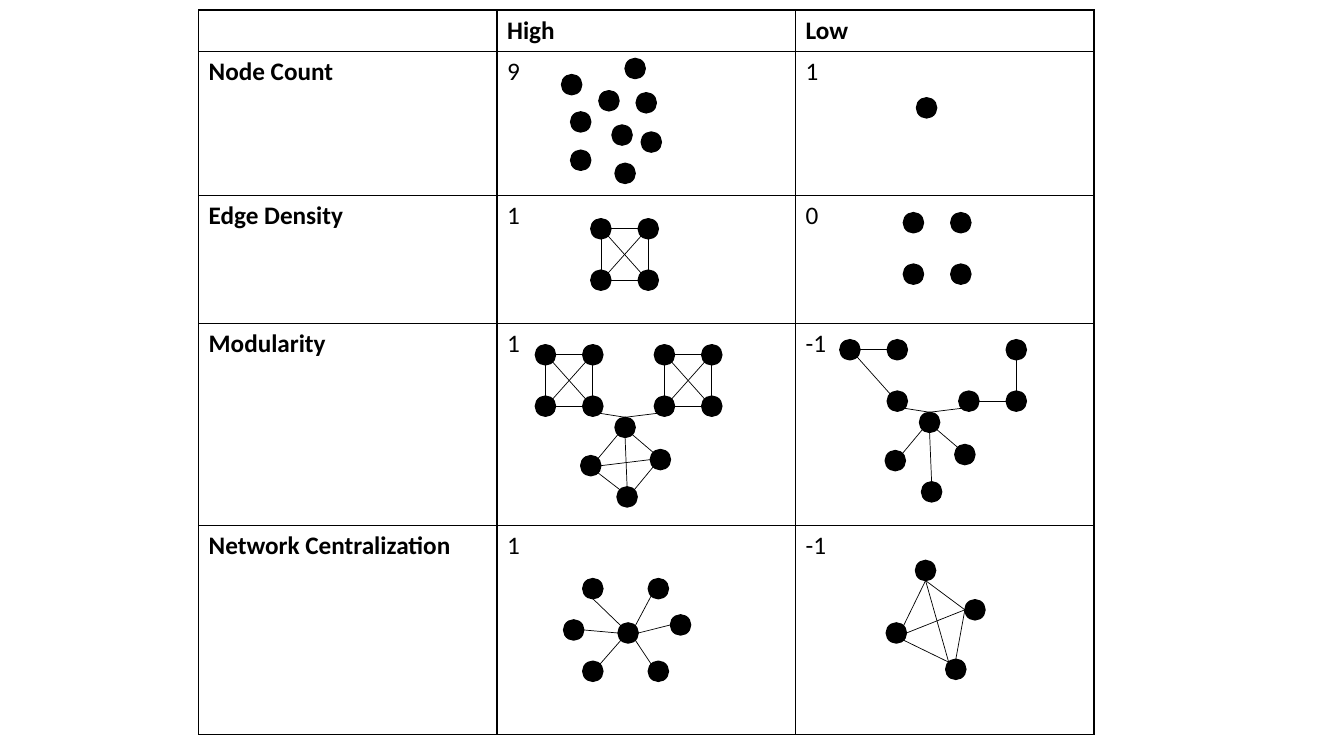
import dataclasses
import math

import lxml.etree
import pptx
import pptx.dml.color
import pptx.enum.shapes
import pptx.oxml.ns
import pptx.util

Inches = pptx.util.Inches


@dataclasses.dataclass(frozen=True)
class Theme:
    """Colours, type and line sizes of the slide."""
    ink: pptx.dml.color.RGBColor = pptx.dml.color.RGBColor(0, 0, 0)
    font: str = "Calibri"
    text_size: int = 18
    outline: float = 1
    edge: float = 0.5
    node: float = 0.2


THEME = Theme()
TABLE_LEFT, TABLE_TOP, COLUMN = 1.97, 0.1, 2.96
ROWS = [0.41, 1.43, 1.27, 2, 2.08]
LABELS = [
    ["", "High", "Low"],
    ["Node Count", "9", "1"],
    ["Edge Density", "1", "0"],
    ["Modularity", "1", "-1"],
    ["Network Centralization", "1", "-1"],
]
COMPASS = {name: step * math.pi / 4 for step, name in enumerate("E SE S SW W NW N NE".split())}
SQUARE_EDGES = [
    (0, "E", 1, "W"), (2, "E", 3, "W"), (0, "S", 2, "N"),
    (1, "N", 3, "N"), (0, "SE", 3, "NW"), (2, "NE", 1, "SW"),
]
SQUARE_EDGES[3] = (3, "N", 1, "S")
STAR_EDGES = [(0, "SE", 1, "NW"), (0, "SW", 2, "NE"), (0, "S", 3, "N")]
DIAMOND_EDGES = STAR_EDGES + [(2, "SE", 3, "NW"), (3, "NE", 1, "SW"), (2, "E", 1, "W")]


def square(x, y):
    """Return four node centres: top left, top right, bottom left, bottom right."""
    return [(x + dx, y + dy) for dy in (0, 0.51) for dx in (0, 0.47)]


def diamond(x, y):
    """Return four node centres: top, right, left, bottom."""
    return [(x, y), (x + 0.35, y + 0.32), (x - 0.34, y + 0.38), (x + 0.02, y + 0.69)]


def shift(edges, first):
    """Renumber edges so that their nodes start at the given index."""
    return [(a + first, a_side, b + first, b_side) for a, a_side, b, b_side in edges]


def networks():
    """Return nodes and edges for each table cell, keyed by row and column."""
    scattered = [(0.74, 0.33), (1.11, 0.49), (0.83, 1.08), (1.24, 0.83), (1.53, 0.9),
                 (1.48, 0.51), (0.83, 0.7), (1.27, 1.21), (1.37, 0.17)]
    modules = square(0.48, 0.31) + square(1.66, 0.31) + diamond(1.27, 1.03)
    module_edges = (SQUARE_EDGES + shift(SQUARE_EDGES, 4) + shift(DIAMOND_EDGES, 8)
                    + [(3, "SE", 8, "N"), (6, "SW", 8, "N")])
    left_top, left_right, _, left_low = square(0.54, 0.26)
    loose = [left_top, left_right, left_low] + square(1.72, 0.26)[1:] + diamond(1.33, 0.98)
    loose_edges = shift(STAR_EDGES, 6) + [
        (0, "E", 1, "W"), (0, "SE", 2, "NW"), (4, "E", 5, "W"),
        (5, "N", 3, "S"), (2, "SE", 6, "N"), (4, "SW", 6, "N")]
    wheel = [(1.3, 1.07), (1.6, 1.45), (1.6, 0.63), (0.95, 0.63),
             (0.95, 1.45), (1.82, 0.99), (0.76, 1.04)]
    wheel_edges = [(0, "SE", 1, "NW"), (2, "SW", 0, "NE"), (3, "S", 0, "NW"),
                   (0, "SW", 4, "NE"), (5, "W", 0, "E"), (6, "E", 0, "W")]
    kite = [(1, 1.07), (1.59, 1.43), (1.29, 0.45), (1.78, 0.84)]
    kite_edges = [(0, "SE", 1, "NW"), (2, "S", 0, "NE"), (3, "W", 0, "E"),
                  (2, "S", 3, "W"), (3, "W", 1, "N"), (2, "S", 1, "NW")]
    return {
        (1, 1): (scattered, []),
        (1, 2): ([(1.3, 0.56)], []),
        (2, 1): (square(1.03, 0.33), SQUARE_EDGES),
        (2, 2): (square(1.17, 0.27), []),
        (3, 1): (modules, module_edges),
        (3, 2): (loose, loose_edges),
        (4, 1): (wheel, wheel_edges),
        (4, 2): (kite, kite_edges),
    }


def add_borders(cell):
    """Draw a thin line on all four sides of a table cell."""
    properties = cell._tc.get_or_add_tcPr()
    for index, side in enumerate(("a:lnL", "a:lnR", "a:lnT", "a:lnB")):
        line = lxml.etree.Element(pptx.oxml.ns.qn(side), w=str(pptx.util.Pt(THEME.outline)))
        fill = lxml.etree.SubElement(line, pptx.oxml.ns.qn("a:solidFill"))
        lxml.etree.SubElement(fill, pptx.oxml.ns.qn("a:srgbClr"), val=str(THEME.ink))
        properties.insert(index, line)


def add_measure_table(page, left, top):
    """Place the table of network measures at the given corner."""
    columns = len(LABELS[0])
    table = page.shapes.add_table(len(ROWS), columns, Inches(left), Inches(top),
                                  Inches(COLUMN * columns), Inches(sum(ROWS))).table
    table.first_row = table.horz_banding = False
    for column in table.columns:
        column.width = Inches(COLUMN)
    for row_index, height in enumerate(ROWS):
        table.rows[row_index].height = Inches(height)
        for column_index, label in enumerate(LABELS[row_index]):
            cell = table.cell(row_index, column_index)
            cell.fill.background()
            add_borders(cell)
            cell.text = label
            font = cell.text_frame.paragraphs[0].font
            font.name = THEME.font
            font.size = pptx.util.Pt(THEME.text_size)
            font.bold = row_index == 0 or column_index == 0
            font.color.rgb = THEME.ink


def add_node(shapes, x, y):
    """Draw a round node centred on a point."""
    size = Inches(THEME.node)
    node = shapes.add_shape(pptx.enum.shapes.MSO_SHAPE.OVAL, Inches(x - THEME.node / 2),
                            Inches(y - THEME.node / 2), size, size)
    node.shadow.inherit = False
    node.fill.solid()
    node.fill.fore_color.rgb = THEME.ink
    node.line.color.rgb = THEME.ink
    node.line.width = pptx.util.Pt(THEME.outline)


def rim_point(centre, side):
    """Return the point of a node's rim in a compass direction."""
    angle, radius = COMPASS[side], THEME.node / 2
    return (Inches(centre[0] + radius * math.cos(angle)),
            Inches(centre[1] + radius * math.sin(angle)))


def add_network(page, left, top, nodes, edges):
    """Draw a network inside the cell with the given corner."""
    shapes = page.shapes.add_group_shape().shapes if len(nodes) > 1 else page.shapes
    centres = [(left + x, top + y) for x, y in nodes]
    for x, y in centres:
        add_node(shapes, x, y)
    for start, start_side, end, end_side in edges:
        edge = shapes.add_connector(pptx.enum.shapes.MSO_CONNECTOR.STRAIGHT,
                                    *rim_point(centres[start], start_side),
                                    *rim_point(centres[end], end_side))
        edge.line.color.rgb = THEME.ink
        edge.line.width = pptx.util.Pt(THEME.edge)
        lxml.etree.SubElement(edge._element.spPr, pptx.oxml.ns.qn("a:effectLst"))


def main():
    """Build and save the slide."""
    deck = pptx.Presentation()
    deck.slide_width, deck.slide_height = Inches(13.33), Inches(7.5)
    page = deck.slides.add_slide(deck.slide_layouts[6])
    add_measure_table(page, TABLE_LEFT, TABLE_TOP)
    for (row, column), (nodes, edges) in networks().items():
        add_network(page, TABLE_LEFT + column * COLUMN, TABLE_TOP + sum(ROWS[:row]),
                    nodes, edges)
    deck.save("out.pptx")


if __name__ == "__main__":
    main()
